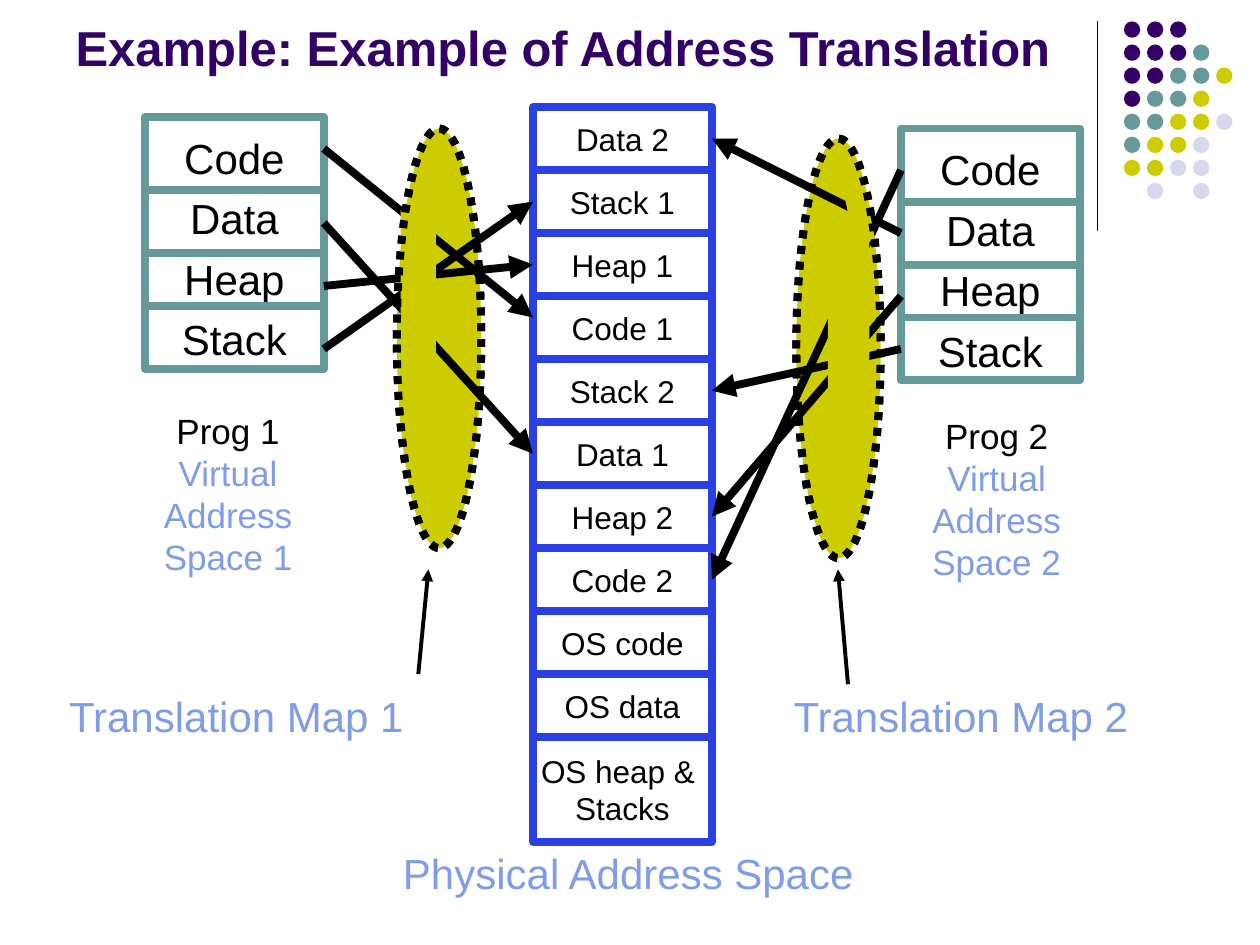
from dataclasses import dataclass

from pptx import Presentation
from pptx.dml.color import RGBColor
from pptx.enum.dml import MSO_LINE
from pptx.enum.shapes import MSO_CONNECTOR, MSO_SHAPE
from pptx.enum.text import MSO_ANCHOR, MSO_AUTO_SIZE, PP_ALIGN
from pptx.oxml.ns import qn
from pptx.util import Inches, Pt
from lxml.etree import SubElement

COLUMNS, ROWS = 10, 7.5


@dataclass(frozen=True)
class Theme:
    font: str = "Arial"
    black: str = "000000"
    white: str = "FFFFFF"
    purple: str = "330066"
    teal: str = "669999"
    olive: str = "CCCC00"
    lavender: str = "D8D8EC"
    blue: str = "2A40E2"
    caption: str = "7E9CE8"
    title_size: int = 28
    large_size: int = 24
    medium_size: int = 20
    small_size: int = 18
    hairline: float = 0.75
    thin: float = 2.25
    thick: float = 4.5


def write(frame, text, *, font, size, color, lead=None, bold=False,
          align=PP_ALIGN.LEFT, spacing=None, anchor=MSO_ANCHOR.TOP, wrap=False):
    """Fill a text frame, one paragraph a line; lead colours the first one."""
    frame.word_wrap = wrap
    frame.vertical_anchor = anchor
    for index, line in enumerate(text.split("\n")):
        paragraph = frame.add_paragraph() if index else frame.paragraphs[0]
        paragraph.alignment = align
        if spacing:
            paragraph.line_spacing = spacing
        run = paragraph.add_run()
        run.text = line
        run.font.name = font
        run.font.size = Pt(size)
        run.font.bold = bold
        shade = lead if lead and index == 0 else color
        run.font.color.rgb = RGBColor.from_string(shade)


class SlideBuilder:
    def __init__(self, presentation, theme):
        self.theme = theme
        self.column = presentation.slide_width / COLUMNS
        self.row = presentation.slide_height / ROWS
        self.slide = presentation.slides.add_slide(presentation.slide_layouts[5])

    def place(self, left, top, width, height):
        return (round(left * self.column), round(top * self.row),
                round(width * self.column), round(height * self.row))

    def title(self, text, box):
        shape = self.slide.shapes.title
        shape.left, shape.top, shape.width, shape.height = self.place(*box)
        write(shape.text_frame, text, font=self.theme.font, bold=True, wrap=True,
              size=self.theme.title_size, color=self.theme.purple,
              anchor=MSO_ANCHOR.BOTTOM)
        shape.text_frame.auto_size = MSO_AUTO_SIZE.NONE

    def label(self, text, box, **style):
        shape = self.slide.shapes.add_textbox(*self.place(*box))
        write(shape.text_frame, text, font=self.theme.font, **style)
        shape.text_frame.auto_size = MSO_AUTO_SIZE.SHAPE_TO_FIT_TEXT

    def shape(self, kind, box, fill=None, line=None, dash=None, rotation=0):
        shape = self.slide.shapes.add_shape(kind, *self.place(*box))
        shape.shadow.inherit = False
        shape.rotation = rotation
        if fill:
            shape.fill.solid()
            shape.fill.fore_color.rgb = RGBColor.from_string(fill)
        else:
            shape.fill.background()
        if line:
            shape.line.color.rgb = RGBColor.from_string(line)
            shape.line.width = Pt(self.theme.thick)
            shape.line.dash_style = dash
        else:
            shape.line.fill.background()
        return shape

    def box(self, text, box, line, size, spacing=None):
        shape = self.shape(MSO_SHAPE.RECTANGLE, box, self.theme.white, line)
        write(shape.text_frame, text, font=self.theme.font, size=size,
              color=self.theme.black, align=PP_ALIGN.CENTER, spacing=spacing,
              anchor=MSO_ANCHOR.MIDDLE)

    def line(self, start, end, color, width, arrow=False):
        connector = self.slide.shapes.add_connector(
            MSO_CONNECTOR.STRAIGHT, *self.place(*start, *end))
        connector.line.color.rgb = RGBColor.from_string(color)
        connector.line.width = Pt(width)
        if arrow:
            SubElement(connector.line._get_or_add_ln(), qn("a:tailEnd"), type="triangle")
        SubElement(connector._element.spPr, qn("a:effectLst"))

    def dots(self, left, top, pitch, size, pattern):
        colors = {"P": self.theme.purple, "T": self.theme.teal,
                  "O": self.theme.olive, "L": self.theme.lavender}
        for row, marks in enumerate(pattern):
            for column, mark in enumerate(marks):
                if mark in colors:
                    self.shape(MSO_SHAPE.OVAL, (left + column * pitch, top + row * pitch,
                                                size, size), colors[mark])

    def translation_map(self, box, fill=None):
        self.shape(MSO_SHAPE.OVAL, box, fill, self.theme.black, MSO_LINE.ROUND_DOT)

    def virtual_space(self, left, top, width, dividers):
        self.box("Code\nData\nHeap\nStack", (left, top, width, 2), self.theme.teal,
                 self.theme.large_size, spacing=1.2)
        for height in dividers:
            self.line((left, top + height), (left + width, top + height),
                      self.theme.teal, self.theme.thick)


def main():
    theme = Theme()
    presentation = Presentation()
    presentation.slide_width, presentation.slide_height = Inches(10), Inches(7.5)
    builder = SlideBuilder(presentation, theme)

    # Corner decoration
    builder.line((8.71, 0.17), (8.71, 1.83), theme.black, theme.hairline)
    builder.dots(8.92, 0.17, 0.183, 0.13,
                 ["PPP", "PPPT", "PPTTO", "PTTO", "TTOOL", "TOOL", "OOLL", ".L.L"])

    builder.title("Example: Example of Address Translation", (0.5, 0.13, 8.25, 0.53))

    # Filled translation maps, behind the arrows
    maps = [(3.15, 1.02, 0.67, 3.33), (6.32, 1.1, 0.67, 3.33)]
    for oval in maps:
        builder.translation_map(oval, theme.olive)

    # Virtual address spaces and their captions
    width = 1.42
    left_space, right_space = 1.15, 7.15
    for left, top in ((left_space, 0.93), (right_space, 1.02)):
        builder.virtual_space(left, top, width, (0.58, 1.08, 1.5))
    for number, left, top in ((1, 1.2, 3.2), (2, 7.3, 3.24)):
        builder.label(f"Prog {number}\nVirtual\nAddress\nSpace {number}",
                      (left, top, 1.22, 1.43), size=theme.medium_size,
                      color=theme.caption, lead=theme.black, align=PP_ALIGN.CENTER)

    # Physical memory
    memory_left, memory_top, cell = 4.23, 0.85, 0.5
    cells = ["Data 2", "Stack 1", "Heap 1", "Code 1", "Stack 2", "Data 1",
             "Heap 2", "Code 2", "OS code", "OS data", "OS heap & \nStacks"]
    for index, text in enumerate(cells):
        height = 0.83 if "\n" in text else cell
        builder.box(text, (memory_left, memory_top + index * cell, width, height),
                    theme.blue, theme.small_size)

    # Arrows from virtual to physical memory: (start row, end row)
    left_arrows = [(1.18, 2.52), (1.77, 3.6), (2.27, 2.1), (2.77, 1.6)]
    right_arrows = [(1.35, 4.6), (1.85, 1.1), (2.35, 4.1), (2.77, 3.1)]
    for start, end, arrows in ((left_space + width, memory_left, left_arrows),
                               (right_space, memory_left + width, right_arrows)):
        for start_row, end_row in arrows:
            builder.line((start, start_row), (end, end_row),
                         theme.black, theme.thick, arrow=True)

    # Patches hide the arrows inside the maps, then the outlines go on top
    for patch, rotation in (((3.18, 1.67, 0.28, 1.5), 0),
                            ((6.57, 1.85, 0.33, 1.58), 0),
                            ((6.73, 1.43, 0.17, 0.5), 348.5)):
        builder.shape(MSO_SHAPE.RECTANGLE, patch, theme.olive, rotation=rotation)
    for oval in maps:
        builder.translation_map(oval)

    # Captions and their pointers
    for text, box in (("Translation Map 1", (0.45, 5.43, 2.87, 0.5)),
                      ("Translation Map 2", (6.2, 5.43, 2.87, 0.5)),
                      ("Physical Address Space", (3.1, 6.68, 3.8, 0.5))):
        builder.label(text, box, size=theme.large_size, color=theme.caption)
    for start, end in (((3.32, 5.35), (3.4, 4.52)), ((6.73, 5.43), (6.65, 4.52))):
        builder.line(start, end, theme.black, theme.thin, arrow=True)

    presentation.save("out.pptx")


if __name__ == "__main__":
    main()
